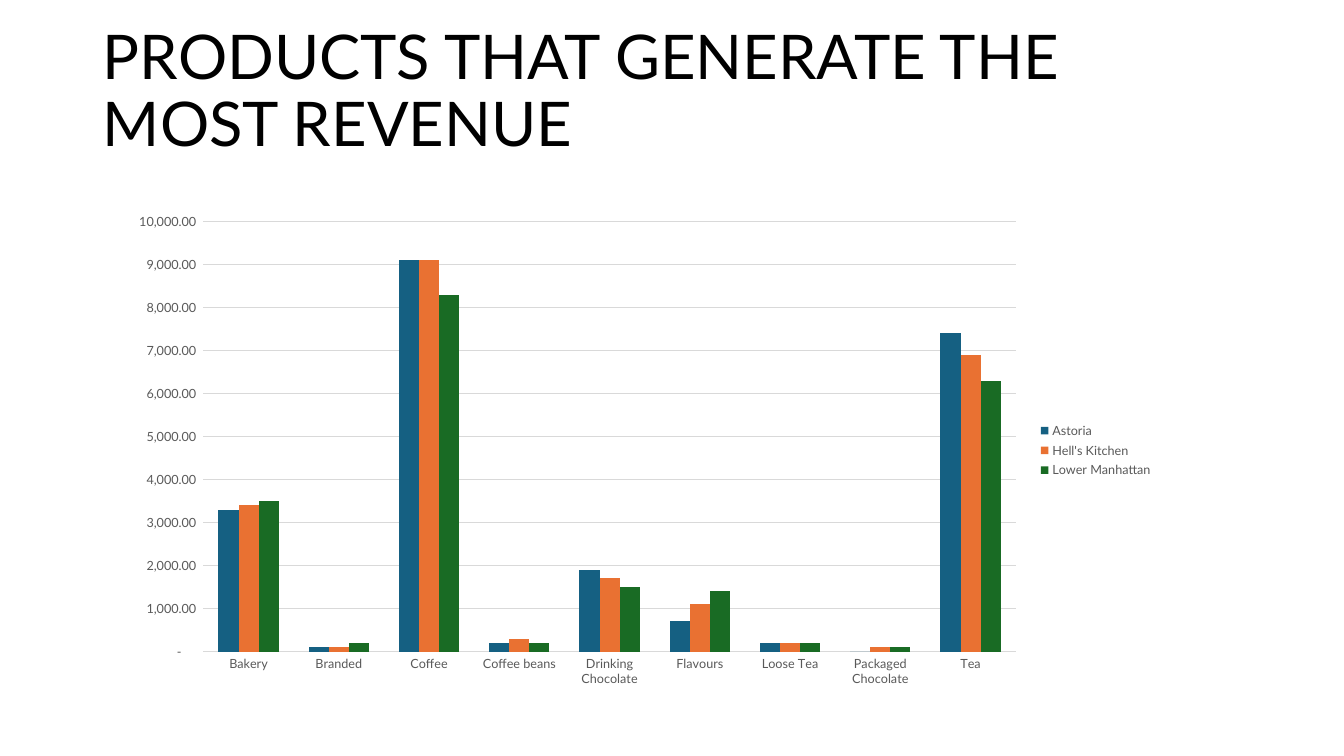
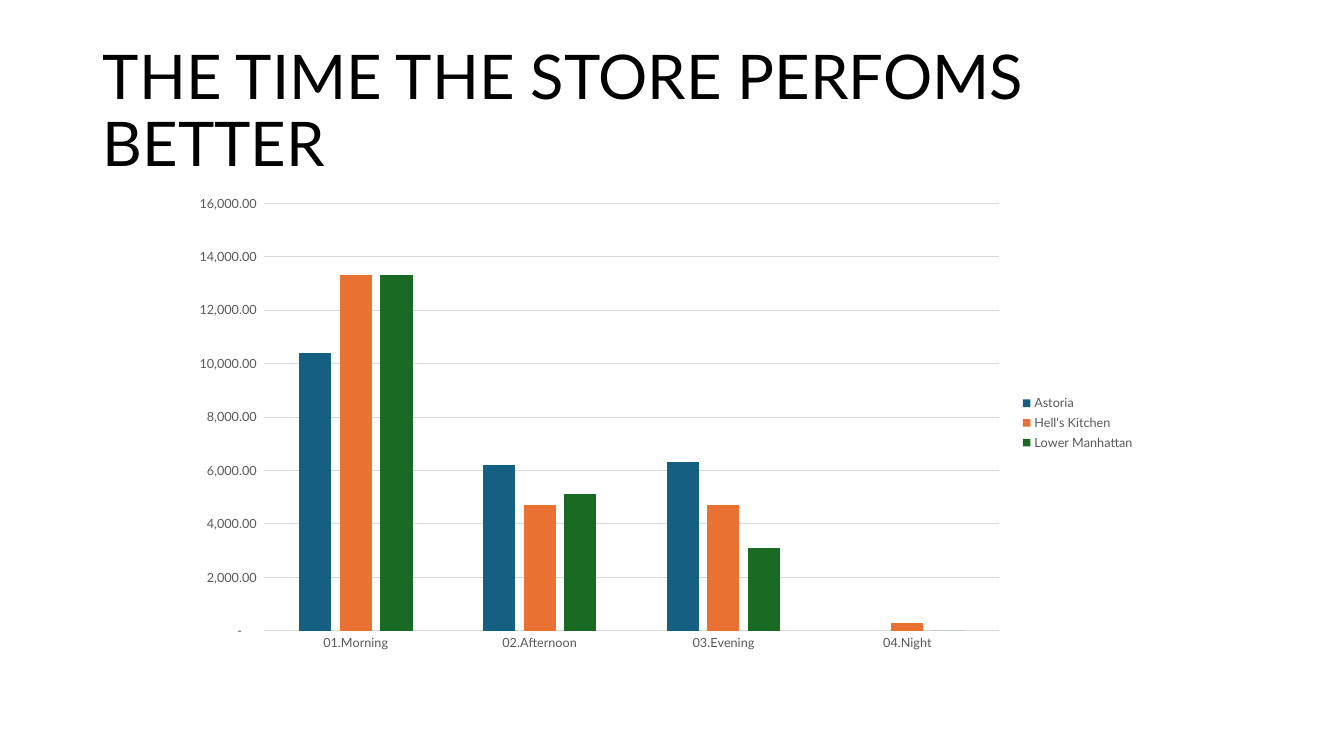
from pptx import Presentation
from pptx.chart.data import CategoryChartData
from pptx.dml.color import RGBColor
from pptx.enum.chart import XL_CHART_TYPE, XL_LEGEND_POSITION, XL_TICK_MARK
from pptx.enum.text import MSO_ANCHOR
from pptx.util import Emu, Pt

COLUMNS = XL_CHART_TYPE.COLUMN_CLUSTERED
RIGHT = XL_LEGEND_POSITION.RIGHT
NO_TICK = XL_TICK_MARK.NONE
MIDDLE = MSO_ANCHOR.MIDDLE

EMU_PER_PX = 914400 / 100.8
FONT = "Lato"
BLACK, GREY, RULE = "000000", "595959", "D9D9D9"
STORES = {"Astoria": "156082", "Hell's Kitchen": "E97132", "Lower Manhattan": "196B24"}
ACCOUNTING = '_(* #,##0.00_);_(* \\(#,##0.00\\);_(* "-"??_);_(@_)'

SLIDES = [
    dict(
        title="PRODUCTS THAT GENERATE THE MOST REVENUE",
        title_top=20,
        box=(115, 204, 1048, 493),
        cats=["Bakery", "Branded", "Coffee", "Coffee beans", "Drinking Chocolate",
              "Flavours", "Loose Tea", "Packaged Chocolate", "Tea"],
        values=[
            (3300, 100, 9100, 200, 1900, 700, 200, 0, 7400),
            (3400, 100, 9100, 300, 1700, 1100, 200, 100, 6900),
            (3500, 200, 8300, 200, 1500, 1400, 200, 100, 6300),
        ],
        gap=150, overlap=0, top=10000, step=1000, base_line=False,
    ),
    dict(
        title="THE TIME THE STORE PERFOMS BETTER",
        title_top=40,
        box=(177, 186, 968, 474),
        cats=["01.Morning", "02.Afternoon", "03.Evening", "04.Night"],
        values=[
            (10400, 6200, 6300, None),
            (13300, 4700, 4700, 300),
            (13300, 5100, 3100, 0),
        ],
        gap=219, overlap=-27, top=16000, step=2000, base_line=True,
    ),
]


def px(n):
    return Emu(round(n * EMU_PER_PX))


def rgb(color):
    return RGBColor.from_string(color)


def style_font(font, size, color):
    font.name = FONT
    font.size = Pt(size)
    font.bold = False
    font.color.rgb = rgb(color)


def style_line(line, color):
    line.color.rgb = rgb(color)
    line.width = Pt(0.75)


def add_title(s, text, box):
    tf = s.shapes.add_textbox(*map(px, box)).text_frame
    tf.word_wrap = True
    tf.vertical_anchor = MIDDLE
    tf.text = text
    p = tf.paragraphs[0]
    p.line_spacing = 0.9
    style_font(p.runs[0].font, 44, BLACK)


def style_axes(chart, top, step, base_line):
    for axis in (chart.category_axis, chart.value_axis):
        axis.major_tick_mark = axis.minor_tick_mark = NO_TICK
        axis.format.line.fill.background()
        style_font(axis.tick_labels.font, 9, GREY)
    if base_line:
        style_line(chart.category_axis.format.line, RULE)
    axis = chart.value_axis
    axis.minimum_scale, axis.maximum_scale, axis.major_unit = 0, top, step
    axis.tick_labels.number_format = ACCOUNTING
    axis.tick_labels.number_format_is_linked = False
    style_line(axis.major_gridlines.format.line, RULE)


def add_column_chart(s, box, cats, values, gap, overlap, top, step, base_line):
    data = CategoryChartData()
    data.categories = cats
    for store, vals in zip(STORES, values):
        data.add_series(store, vals)
    chart = s.shapes.add_chart(COLUMNS, *map(px, box), data).chart
    chart.has_title = False
    style_font(chart.font, 10, BLACK)
    chart.has_legend = True
    chart.legend.position = RIGHT
    chart.legend.include_in_layout = False
    style_font(chart.legend.font, 9, GREY)
    plot = chart.plots[0]
    plot.vary_by_categories = False
    plot.gap_width = gap
    plot.overlap = overlap
    for series, color in zip(plot.series, STORES.values()):
        series.invert_if_negative = False
        series.format.fill.solid()
        series.format.fill.fore_color.rgb = rgb(color)
    style_axes(chart, top, step, base_line)


def add_chart_slide(prs, title, title_top, **chart):
    s = prs.slides.add_slide(prs.slide_layouts[6])
    add_title(s, title, (93, title_top, 1159, 146))
    add_column_chart(s, **chart)


def main():
    prs = Presentation()
    prs.slide_width, prs.slide_height = px(1344), px(756)
    for slide in SLIDES:
        add_chart_slide(prs, **slide)
    prs.save("out.pptx")


if __name__ == "__main__":
    main()
